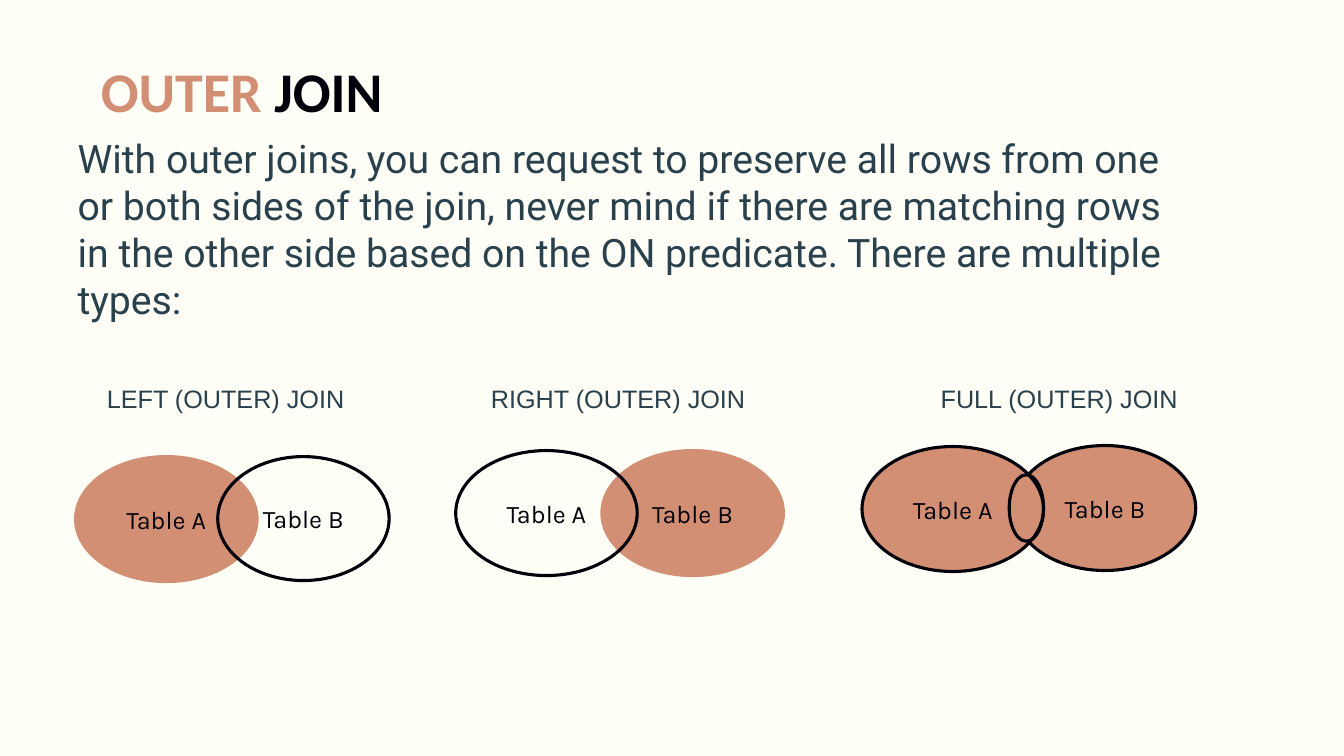
from dataclasses import dataclass

from pptx import Presentation
from pptx.dml.color import RGBColor
from pptx.enum.shapes import MSO_SHAPE
from pptx.enum.text import MSO_ANCHOR, PP_ALIGN
from pptx.util import Inches, Pt


@dataclass(frozen=True)
class Theme:
    paper: RGBColor = RGBColor.from_string("FFFEF7")
    clay: RGBColor = RGBColor.from_string("D38F73")
    ink: RGBColor = RGBColor.from_string("00000A")
    slate: RGBColor = RGBColor.from_string("28414D")
    title: Pt = Pt(40)
    body: Pt = Pt(28)
    label: Pt = Pt(18)
    line: Pt = Pt(2.25)


THEME = Theme()
BODY = (
    "With outer joins, you can request to preserve all rows from one or both "
    "sides of the join, never mind if there are matching rows in the other side "
    "based on the ON predicate. There are multiple types:"
)
CAPTIONS = [
    (1.06, "LEFT (OUTER) JOIN"),
    (4.87, "RIGHT (OUTER) JOIN"),
    (9.33, "FULL (OUTER) JOIN"),
]
WIDE = (1.8, 1.24)
# Left, top, size, fill, line, label; from back to front
OVALS = [
    (0.75, 4.53, WIDE, THEME.clay, THEME.clay, "Table A"),
    (5.97, 4.47, WIDE, THEME.clay, THEME.clay, "Table B"),
    (10.06, 4.42, WIDE, THEME.clay, THEME.ink, "Table B"),
    (2.16, 4.53, (1.7, 1.23), None, THEME.ink, "Table B"),
    (4.52, 4.47, WIDE, None, THEME.ink, "Table A"),
    (8.55, 4.43, WIDE, THEME.clay, THEME.ink, "Table A"),
    (10.01, 4.71, (0.34, 0.66), None, THEME.ink, ""),
]


def style(font, name, size, color, bold=False):
    font.name, font.size, font.bold = name, size, bold
    font.color.rgb = color


def add_text(slide, left, top, width, height, anchor=MSO_ANCHOR.TOP):
    """Add a wrapping text box and return its first paragraph."""
    box = slide.shapes.add_textbox(
        Inches(left), Inches(top), Inches(width), Inches(height))
    frame = box.text_frame
    frame.word_wrap = True
    frame.vertical_anchor = anchor
    frame.margin_left = frame.margin_right = Inches(0.07)
    frame.margin_top = frame.margin_bottom = Inches(0.04)
    return frame.paragraphs[0]


def add_title(slide):
    para = add_text(slide, 0.93, 0.41, 10.32, 0.96, MSO_ANCHOR.MIDDLE)
    for text, color in [("OUTER ", THEME.clay), ("JOIN", THEME.ink)]:
        run = para.add_run()
        run.text = text
        style(run.font, "Calibri", THEME.title, color, bold=True)


def add_body(slide):
    para = add_text(slide, 0.7, 1.29, 11.25, 1.89)
    para.text = BODY
    style(para.font, "Roboto", THEME.body, THEME.slate)


def add_caption(slide, left, text):
    para = add_text(slide, left - 0.07, 3.75, 2.9, 0.4, MSO_ANCHOR.MIDDLE)
    para.text = text
    style(para.font, "Arial", THEME.label, THEME.slate)


def add_oval(slide, left, top, size, fill, line, label):
    width, height = size
    oval = slide.shapes.add_shape(
        MSO_SHAPE.OVAL, Inches(left), Inches(top), Inches(width), Inches(height))
    oval.shadow.inherit = False
    if fill is None:
        oval.fill.background()
    else:
        oval.fill.solid()
        oval.fill.fore_color.rgb = fill
    oval.line.color.rgb = line
    oval.line.width = THEME.line
    if label:
        oval.text_frame.vertical_anchor = MSO_ANCHOR.MIDDLE
        para = oval.text_frame.paragraphs[0]
        para.text = label
        para.alignment = PP_ALIGN.CENTER
        style(para.font, "Karla", THEME.label, THEME.ink)


def main():
    deck = Presentation()
    deck.slide_width, deck.slide_height = Inches(13.33), Inches(7.5)
    slide = deck.slides.add_slide(deck.slide_layouts[6])
    slide.background.fill.solid()
    slide.background.fill.fore_color.rgb = THEME.paper
    add_title(slide)
    add_body(slide)
    for caption in CAPTIONS:
        add_caption(slide, *caption)
    for oval in OVALS:
        add_oval(slide, *oval)
    deck.save("out.pptx")


if __name__ == "__main__":
    main()
